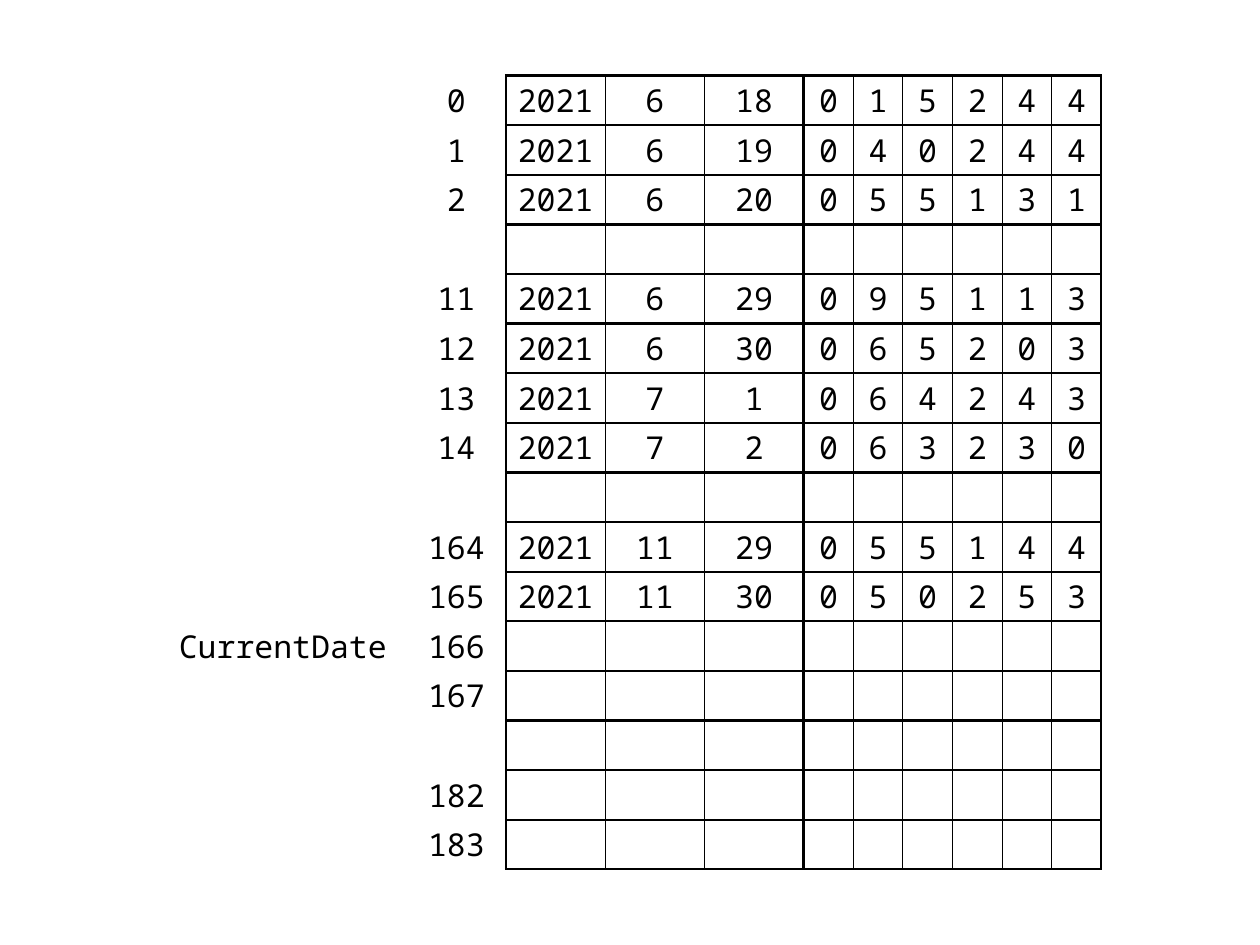
from lxml import etree
from pptx import Presentation
from pptx.dml.color import RGBColor
from pptx.enum.text import MSO_ANCHOR, PP_ALIGN
from pptx.oxml.ns import qn
from pptx.util import Inches, Pt

MIDDLE = MSO_ANCHOR.MIDDLE
CENTER = PP_ALIGN.CENTER
FONT = "Noto Sans Mono"
BLACK = "000000"
THICK, THIN = 1.5, 0.5
UNIT = 6.3 / 16
COL_UNITS = [5] + [2] * 4 + [1] * 6
INDEX_COL, YEAR_COL, DAY_COL, FIRST_DIGIT_COL = 1, 2, 4, 5
LAST_COL = len(COL_UNITS) - 1

# Pointer label, index, year, month, day, six digits
ROWS = [
    ["", "0", "2021", "6", "18", *"015244"],
    ["", "1", "2021", "6", "19", *"040244"],
    ["", "2", "2021", "6", "20", *"055131"],
    [],
    ["", "11", "2021", "6", "29", *"095113"],
    ["", "12", "2021", "6", "30", *"065203"],
    ["", "13", "2021", "7", "1", *"064243"],
    ["", "14", "2021", "7", "2", *"063230"],
    [],
    ["", "164", "2021", "11", "29", *"055144"],
    ["", "165", "2021", "11", "30", *"050253"],
    ["CurrentDate", "166"],
    ["", "167"],
    [],
    ["", "182"],
    ["", "183"],
]


def set_border(cell, side, width):
    """Draw one side of a cell in points, or hide it when width is 0."""
    ln = etree.SubElement(cell._tc.get_or_add_tcPr(), qn("a:ln" + side))
    if width:
        ln.set("w", str(Pt(width)))
        fill = etree.SubElement(ln, qn("a:solidFill"))
        etree.SubElement(fill, qn("a:srgbClr")).set("val", BLACK)
    else:
        etree.SubElement(ln, qn("a:noFill"))


def add_text(cell, text):
    """Put one centred run into a cell."""
    p = cell.text_frame.paragraphs[0]
    p.alignment = CENTER
    r = p.add_run()
    r.text = text
    r.font.name = FONT
    r.font.size = Pt(18)
    r.font.color.rgb = RGBColor.from_string(BLACK)


prs = Presentation()
prs.slide_width, prs.slide_height = Inches(10), Inches(7.5)
s = prs.slides.add_slide(prs.slide_layouts[6])

table = s.shapes.add_table(
    len(ROWS), len(COL_UNITS), Inches(1.26), Inches(0.6),
    Inches(UNIT * sum(COL_UNITS)), Inches(UNIT * len(ROWS))).table
table.first_row = False
table.horz_banding = False
for column, units in zip(table.columns, COL_UNITS):
    column.width = Inches(UNIT * units)

for row, values in zip(table.rows, ROWS):
    row.height = Inches(UNIT)
    for col, cell in enumerate(row.cells):
        in_grid = col >= YEAR_COL
        inner = THIN if in_grid else 0
        outer = THICK if in_grid else 0
        left = THICK if col in (YEAR_COL, FIRST_DIGIT_COL) else inner
        right = THICK if col in (INDEX_COL, DAY_COL, LAST_COL) else inner
        for side, width in zip("LRTB", (left, right, outer, outer)):
            set_border(cell, side, width)
        cell.fill.background()
        cell.vertical_anchor = MIDDLE
        cell.margin_left = cell.margin_right = 0
        cell.margin_top = cell.margin_bottom = 0
        if col < len(values) and values[col]:
            add_text(cell, values[col])

prs.save("out.pptx")
